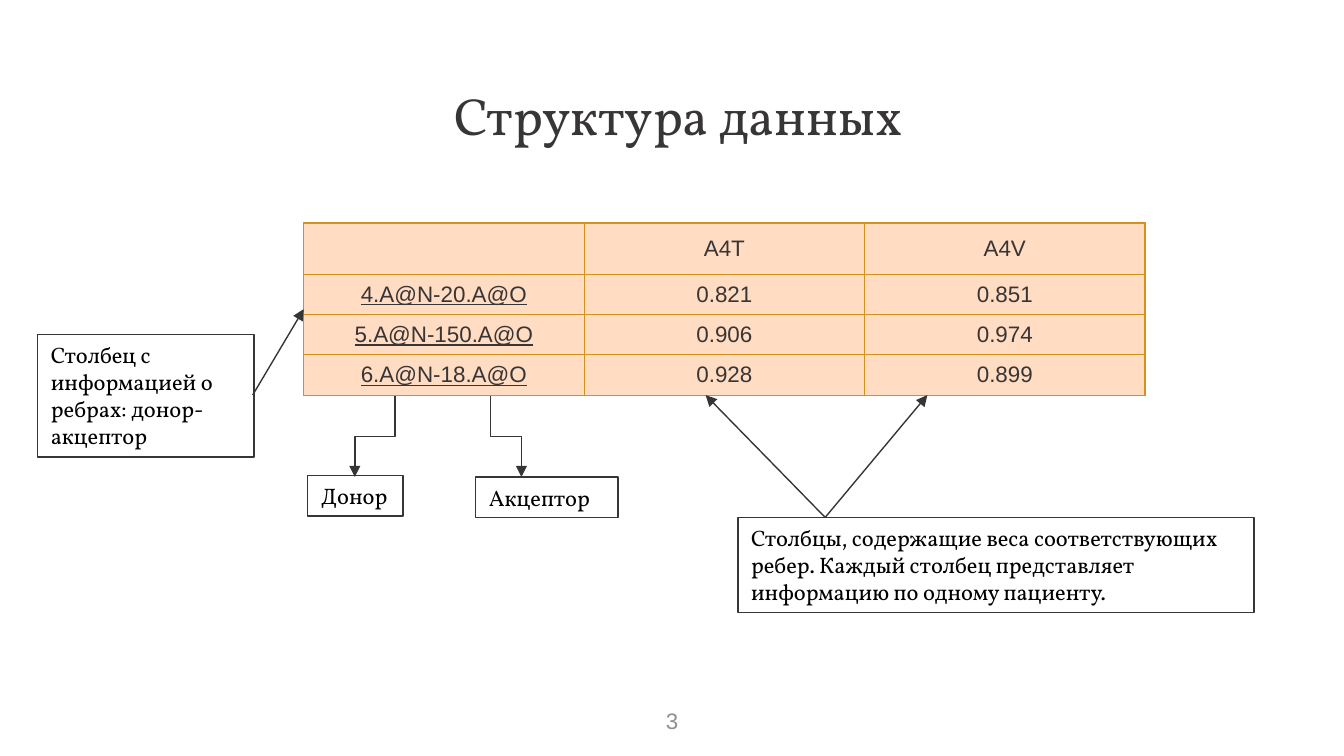
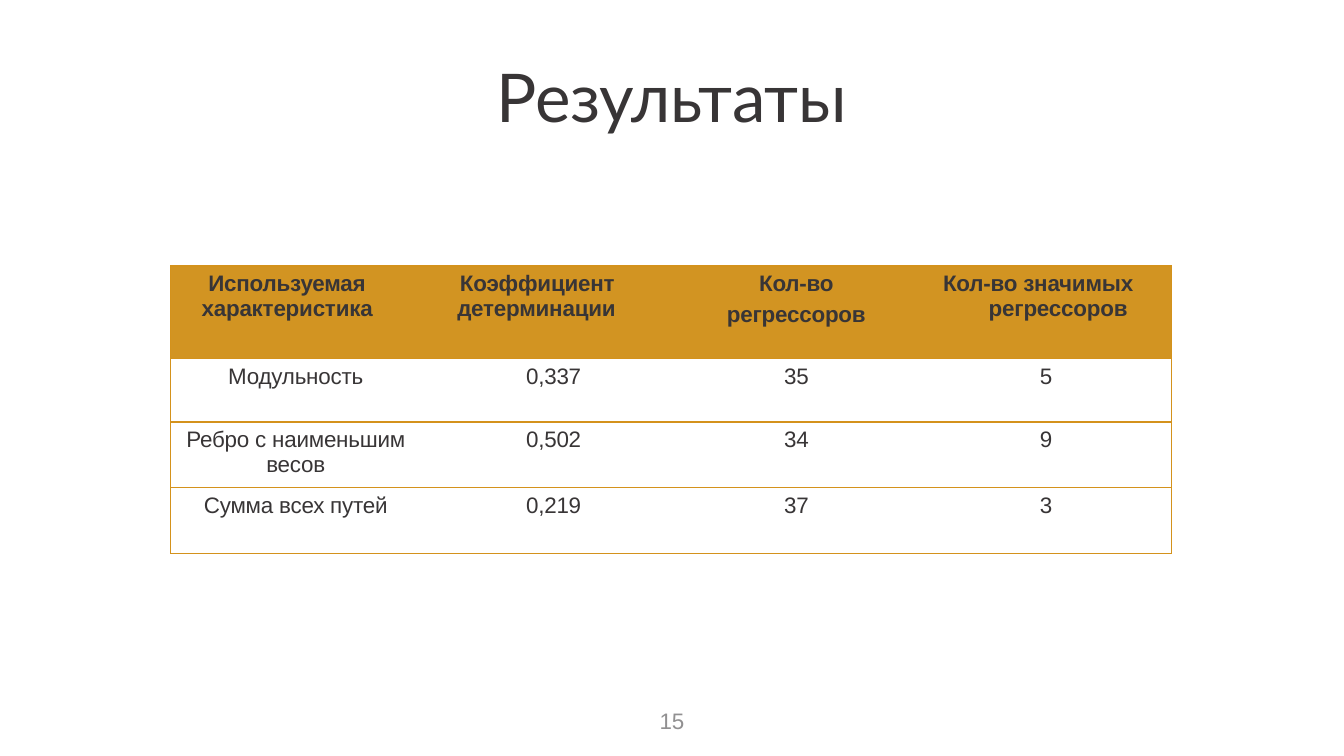
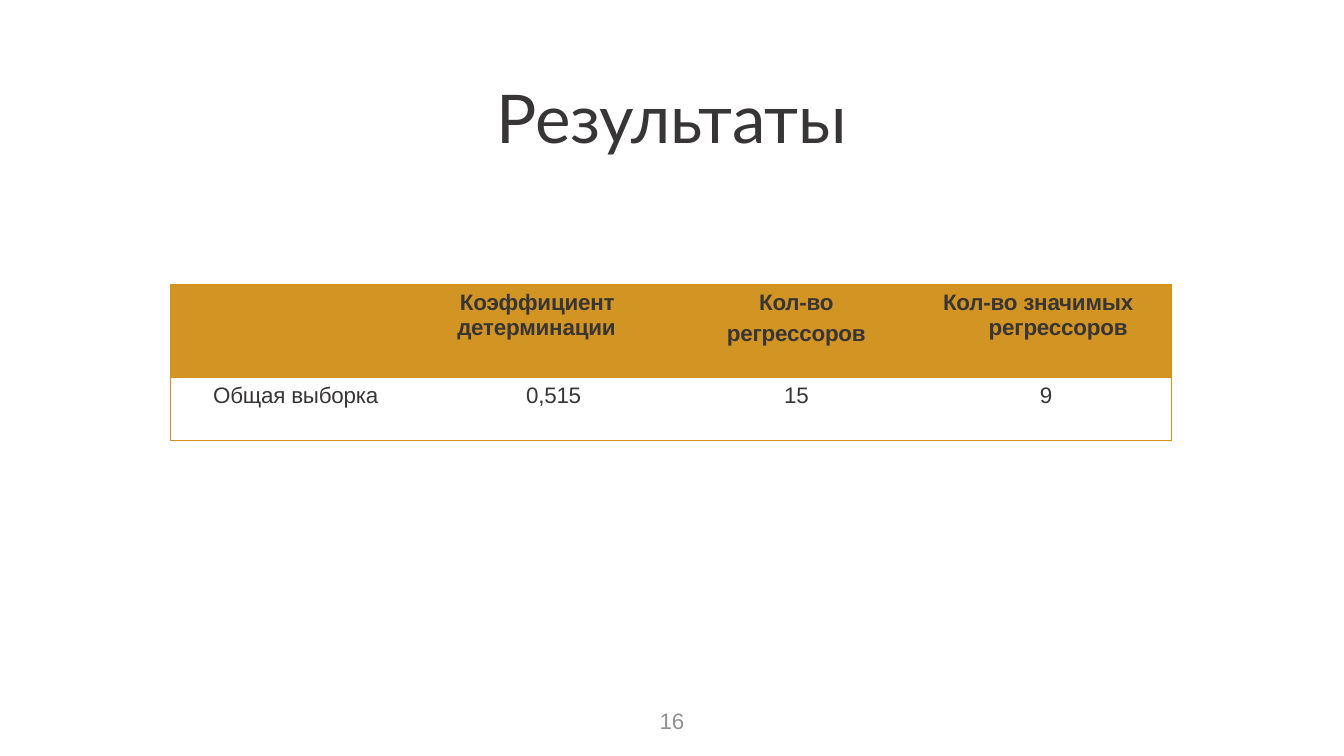
from pptx import Presentation
from pptx.dml.color import RGBColor
from pptx.enum.shapes import MSO_CONNECTOR, MSO_SHAPE
from pptx.enum.text import MSO_ANCHOR, PP_ALIGN
from pptx.oxml.ns import qn
from pptx.util import Inches, Pt
from lxml import etree

STRAIGHT, ELBOW = MSO_CONNECTOR.STRAIGHT, MSO_CONNECTOR.ELBOW
RECT = MSO_SHAPE.RECTANGLE
LEFT, CENTER, RIGHT = PP_ALIGN.LEFT, PP_ALIGN.CENTER, PP_ALIGN.RIGHT
TOP, MIDDLE = MSO_ANCHOR.TOP, MSO_ANCHOR.MIDDLE

INK, LINE, BLACK, GREY = "383536", "373435", "000000", "919091"
GOLD, HEADER, PEACH = "D4921C", "D29422", "FFDCC2"
SANS, SERIF, TITLE = "Arial", "Vollkorn", "Lato"
SIDES = {"l": "a:lnL", "r": "a:lnR", "t": "a:lnT", "b": "a:lnB"}

RESULT_HEADS = ["Коэффициент детерминации", "Кол-во\nрегрессоров",
                "Кол-во значимых регрессоров"]
HEAD_STYLES = [dict(left=0.23, indent=0.05), dict(left=0.27, indent=0.02),
               dict(align=CENTER), dict(left=0.5, indent=-0.34)]
BODY_STYLES = [dict(align=CENTER), dict(align=RIGHT, right=0.67),
               dict(align=CENTER), dict(left=0.88)]


def rgb(color):
    """Turn a hex string into a colour."""
    return RGBColor.from_string(color)


def style_paragraph(p, size, font, color, bold=False, underline=False,
                    align=LEFT, left=0, right=0, indent=0, spacing=0):
    """Set the font, alignment, indents and letter spacing of a paragraph."""
    pPr = p._p.get_or_add_pPr()
    for name, value in (("marL", left), ("marR", right), ("indent", indent)):
        if value:
            pPr.set(name, str(Inches(value)))
    p.alignment = align
    p.font.size, p.font.name, p.font.bold = Pt(size), font, bold
    p.font.underline = underline
    p.font.color.rgb = rgb(color)
    if spacing:
        pPr.find(qn("a:defRPr")).set("spc", str(spacing))


def add_text(slide, box, text, size, font, color, inset=0.05, anchor=TOP):
    """Add a centred text box."""
    tf = slide.shapes.add_textbox(*map(Inches, box)).text_frame
    tf.word_wrap, tf.vertical_anchor = True, anchor
    tf.margin_top = tf.margin_bottom = Inches(inset)
    tf.text = text
    style_paragraph(tf.paragraphs[0], size, font, color, align=CENTER)


def add_frame(prs, title, left, top, size, font, number):
    """Add a slide with its title and page number."""
    slide = prs.slides.add_slide(prs.slide_layouts[6])
    add_text(slide, (left, top, 4.7, 0.69), title, size, font, INK, inset=0.1)
    add_text(slide, (3.31, 5.21, 3.38, 0.3), str(number), 12, SANS, GREY,
             anchor=MIDDLE)
    return slide


def add_note(slide, box, text):
    """Add an outlined note."""
    sp = slide.shapes.add_shape(RECT, *map(Inches, box))
    sp.shadow.inherit = False
    sp.fill.background()
    sp.line.color.rgb, sp.line.width = rgb(INK), Pt(0.75)
    tf = sp.text_frame
    tf.word_wrap, tf.vertical_anchor = True, TOP
    tf.text = text
    style_paragraph(tf.paragraphs[0], 12, SERIF, BLACK)


def add_arrow(slide, kind, x1, y1, x2, y2):
    """Add a thin connector with an arrowhead at its end."""
    arrow = slide.shapes.add_connector(kind, *map(Inches, (x1, y1, x2, y2)))
    arrow.line.color.rgb, arrow.line.width = rgb(LINE), Pt(0.75)
    spPr = arrow._element.spPr
    etree.SubElement(spPr.find(qn("a:ln")), qn("a:tailEnd"), type="triangle")
    etree.SubElement(spPr, qn("a:effectLst"))
    return arrow


def add_step_arrow(slide, x1, y1, x2, y2):
    """Add an elbow arrow that goes down, across and down."""
    cx, cy = (x1 + x2) / 2, (y1 + y2) / 2
    turn = 1 if x2 < x1 else -1
    half_w, half_h = turn * (y2 - y1) / 2, abs(x2 - x1) / 2
    arrow = add_arrow(slide, ELBOW, cx - half_w, cy - half_h,
                      cx + half_w, cy + half_h)
    arrow.rotation = turn * 90 % 360


def set_borders(cell, sides):
    """Draw the given sides of a cell in gold and hide the others."""
    tcPr = cell._tc.get_or_add_tcPr()
    for i, (side, tag) in enumerate(SIDES.items()):
        ln = etree.Element(qn(tag), w=str(Pt(0.75)))
        if side in sides:
            fill = etree.SubElement(ln, qn("a:solidFill"))
            etree.SubElement(fill, qn("a:srgbClr"), val=GOLD)
        else:
            etree.SubElement(ln, qn("a:noFill"))
        tcPr.insert(i, ln)


def add_table(slide, left, top, width, heights, rows):
    """Add a table of equal columns holding the given rows of text."""
    count = len(rows[0])
    table = slide.shapes.add_table(
        len(rows), count, Inches(left), Inches(top),
        Inches(width), Inches(sum(heights))).table
    table.first_row = table.horz_banding = False
    for row, height, texts in zip(table.rows, heights, rows):
        row.height = Inches(height)
        for cell, text in zip(row.cells, texts):
            cell.text = text
    return table


def fill_cell(cell, color):
    """Fill a cell, or leave it clear when there is no colour."""
    if color:
        cell.fill.solid()
        cell.fill.fore_color.rgb = rgb(color)
    else:
        cell.fill.background()


def add_weights_table(slide, left, top):
    """Add the sample of edge weights."""
    rows = [["", "A4T", "A4V"],
            ["4.A@N-20.A@O", "0.821", "0.851"],
            ["5.A@N-150.A@O", "0.906", "0.974"],
            ["6.A@N-18.A@O", "0.928", "0.899"]]
    table = add_table(slide, left, top, 6.26, [0.38] + [0.28] * 3, rows)
    for row in table.rows:
        for c, cell in enumerate(row.cells):
            fill_cell(cell, PEACH)
            set_borders(cell, "lrtb")
            cell.vertical_anchor = MIDDLE
            style_paragraph(cell.text_frame.paragraphs[0], 12, SANS, INK,
                            underline=c == 0, align=CENTER)


def add_results_table(slide, left, top, heights, corner, body):
    """Add a table of regression results under a gold header."""
    table = add_table(slide, left, top, 7.45, heights,
                      [[corner] + RESULT_HEADS] + body)
    for r, row in enumerate(table.rows):
        head = r == 0
        for c, cell in enumerate(row.cells):
            fill_cell(cell, HEADER if head else None)
            set_borders(cell, "tb" + {0: "l", 3: "r"}.get(c, ""))
            cell.margin_left = cell.margin_right = cell.margin_bottom = 0
            cell.margin_top = Inches(0.04)
            style = (HEAD_STYLES if head else BODY_STYLES)[c]
            for i, p in enumerate(cell.text_frame.paragraphs):
                style_paragraph(p, 12, SANS, INK, bold=head, spacing=-10,
                                **style)
                if i:
                    p.space_before = Pt(3.2)


def add_structure_slide(prs):
    """Add the slide that explains the data table."""
    slide = add_frame(prs, "Структура данных", 2.7, 0.52, 28, SERIF, 3)
    add_weights_table(slide, 2.26, 1.66)
    for x in (5.25, 6.9):
        add_arrow(slide, STRAIGHT, 6.14, 3.85, x, 2.94)
    add_arrow(slide, STRAIGHT, 1.88, 2.94, 2.26, 2.3)
    add_step_arrow(slide, 2.94, 2.95, 2.64, 3.55)
    add_step_arrow(slide, 3.65, 2.95, 3.88, 3.55)
    add_note(slide, (5.49, 3.85, 3.84, 0.71),
             "Столбцы, содержащие веса соответствующих ребер. "
             "Каждый столбец представляет информацию по одному пациенту.")
    add_note(slide, (0.28, 2.49, 1.61, 0.91),
             "Столбец с информацией о ребрах: донор-акцептор")
    add_note(slide, (2.29, 3.54, 0.71, 0.3), "Донор")
    add_note(slide, (3.54, 3.55, 1.06, 0.3), "Акцептор")


def add_results_slide(prs, number, title_top, table_top, heights, corner, body):
    """Add a slide with one results table."""
    slide = add_frame(prs, "Результаты", 2.65, title_top, 36, TITLE, number)
    add_results_table(slide, 1.27, table_top, heights, corner, body)


def main():
    """Build the presentation."""
    prs = Presentation()
    prs.slide_width = Inches(10)
    prs.slide_height = prs.slide_width * 9 // 16
    add_structure_slide(prs)
    add_results_slide(prs, 15, 0.31, 1.98, [0.69, 0.47, 0.49, 0.49],
                      "Используемая характеристика",
                      [["Модульность", "0,337", "35", "5"],
                       ["Ребро с наименьшим весов", "0,502", "34", "9"],
                       ["Сумма всех путей", "0,219", "37", "3"]])
    add_results_slide(prs, 16, 0.47, 2.12, [0.69, 0.47], "",
                      [["Общая выборка", "0,515", "15", "9"]])
    prs.save("out.pptx")


if __name__ == "__main__":
    main()
